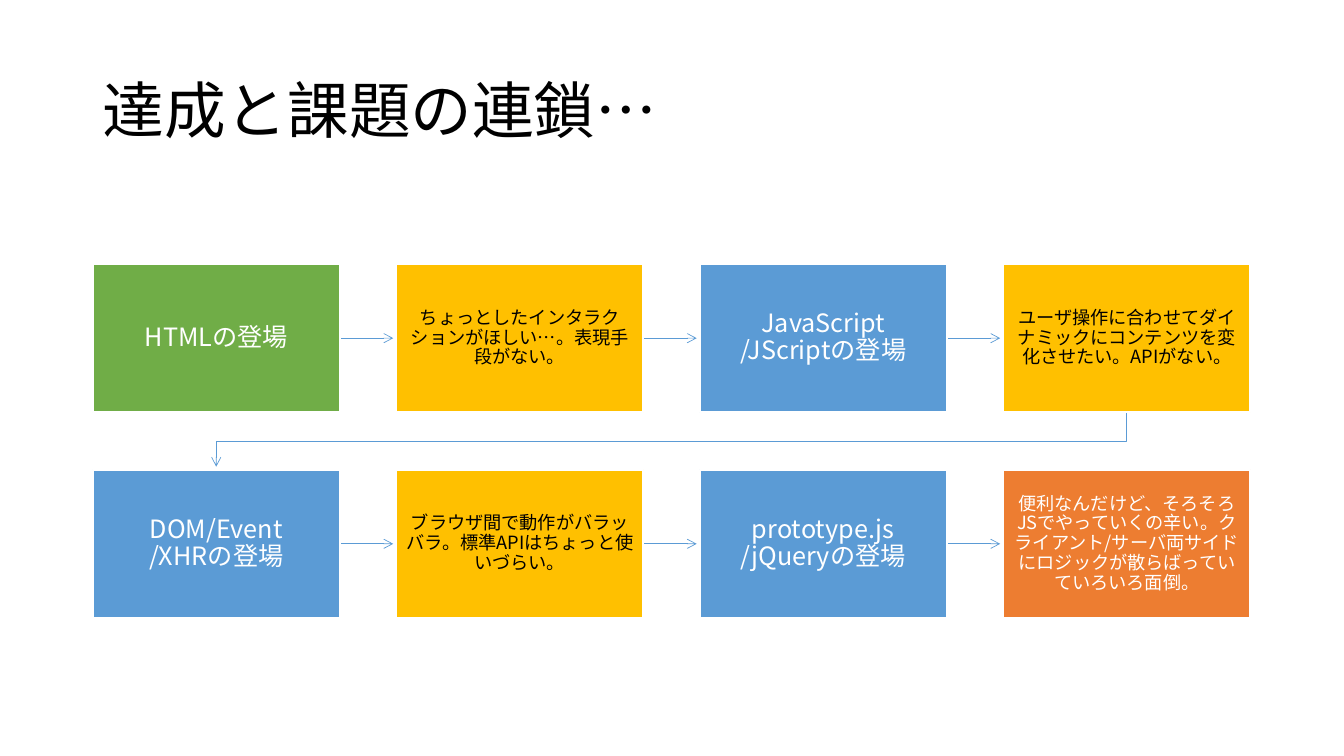
from dataclasses import dataclass

from lxml import etree
from pptx import Presentation
from pptx.dml.color import RGBColor
from pptx.enum import shapes, text
from pptx.oxml import ns
from pptx.util import Inches, Pt

FONT = "Noto Sans CJK JP"
BLACK = RGBColor(0x00, 0x00, 0x00)
WHITE = RGBColor(0xFF, 0xFF, 0xFF)
GREEN = RGBColor(0x70, 0xAD, 0x47)
YELLOW = RGBColor(0xFF, 0xC0, 0x00)
BLUE = RGBColor(0x5B, 0x9B, 0xD5)
ORANGE = RGBColor(0xED, 0x7D, 0x31)

COLUMNS = 4
LEFT, TOP = 0.92, 2.62
BOX_WIDTH, BOX_HEIGHT = 2.45, 1.47
COLUMN_STEP, ROW_STEP = 3.01, 2.04
ARROW_GAP = 0.03  # between an arrowhead and the next box


@dataclass(frozen=True)
class Style:
    fill: RGBColor
    color: RGBColor
    size: int
    inset: float


@dataclass(frozen=True)
class Step:
    wording: str
    style: Style


START = Style(GREEN, WHITE, 18, 0.14)
ACHIEVEMENT = Style(BLUE, WHITE, 18, 0.14)
PROBLEM = Style(YELLOW, BLACK, 13, 0.1)
OPEN_PROBLEM = Style(ORANGE, WHITE, 13, 0.1)

STEPS = [
    Step("HTMLの登場", START),
    Step("ちょっとしたインタラクションがほしい…。表現手段がない。", PROBLEM),
    Step("JavaScript\n/JScriptの登場", ACHIEVEMENT),
    Step("ユーザ操作に合わせてダイナミックにコンテンツを変化させたい。APIがない。", PROBLEM),
    Step("DOM/Event\n/XHRの登場", ACHIEVEMENT),
    Step("ブラウザ間で動作がバラッバラ。標準APIはちょっと使いづらい。", PROBLEM),
    Step("prototype.js\n/jQueryの登場", ACHIEVEMENT),
    Step("便利なんだけど、そろそろJSでやっていくの辛い。"
         "クライアント/サーバ両サイドにロジックが散らばっていていろいろ面倒。", OPEN_PROBLEM),
]


def box_corner(index: int) -> tuple[float, float]:
    row, column = divmod(index, COLUMNS)
    return LEFT + column * COLUMN_STEP, TOP + row * ROW_STEP


def write(frame, wording: str, size: int, color: RGBColor, alignment) -> None:
    """Put one formatted paragraph, vertically centred, into a text frame."""
    frame.word_wrap = True
    frame.vertical_anchor = text.MSO_ANCHOR.MIDDLE
    paragraph = frame.paragraphs[0]
    paragraph.text = wording
    paragraph.alignment = alignment
    paragraph.line_spacing = 0.9
    for run in paragraph.runs:
        run.font.size = Pt(size)
        run.font.name = FONT
        run.font.color.rgb = color
        east_asian = etree.SubElement(run.font._element, ns.qn("a:ea"))
        east_asian.set("typeface", FONT)


def style_arrow(arrow) -> None:
    arrow.line.color.rgb = BLUE
    arrow.line.width = Pt(0.5)
    head = etree.SubElement(arrow.line._get_or_add_ln(), ns.qn("a:tailEnd"))
    head.set("type", "arrow")


def add_straight_arrow(slide, index: int) -> None:
    """Point from a box to its right-hand neighbour."""
    left, top = box_corner(index)
    middle = Inches(top + BOX_HEIGHT / 2)
    arrow = slide.shapes.add_connector(
        shapes.MSO_CONNECTOR.STRAIGHT, Inches(left + BOX_WIDTH), middle,
        Inches(left + COLUMN_STEP - ARROW_GAP), middle)
    style_arrow(arrow)
    etree.SubElement(arrow._element.spPr, ns.qn("a:effectLst"))


def add_return_arrow(slide, index: int) -> None:
    """Lead from the last box of a row to the first box of the next."""
    left, top = box_corner(index)
    next_left, next_top = box_corner(index + 1)
    start_x = Inches(left + BOX_WIDTH / 2)
    end_x = Inches(next_left + BOX_WIDTH / 2)
    bottom = top + BOX_HEIGHT
    turn = Inches((bottom + next_top) / 2)
    builder = slide.shapes.build_freeform(start_x, Inches(bottom))
    builder.add_line_segments(
        [(start_x, turn), (end_x, turn), (end_x, Inches(next_top - ARROW_GAP))],
        close=False)
    arrow = builder.convert_to_shape()
    arrow.shadow.inherit = False
    arrow.fill.background()
    style_arrow(arrow)


def add_box(slide, index: int, step: Step) -> None:
    left, top = box_corner(index)
    box = slide.shapes.add_shape(
        shapes.MSO_SHAPE.RECTANGLE, Inches(left), Inches(top),
        Inches(BOX_WIDTH), Inches(BOX_HEIGHT))
    box.shadow.inherit = False
    box.fill.solid()
    box.fill.fore_color.rgb = step.style.fill
    box.line.color.rgb = WHITE
    box.line.width = Pt(1.5)
    frame = box.text_frame
    frame.margin_left = frame.margin_right = Inches(step.style.inset)
    frame.margin_top = frame.margin_bottom = Inches(step.style.inset)
    write(frame, step.wording, step.style.size, step.style.color,
          text.PP_ALIGN.CENTER)


def main() -> None:
    presentation = Presentation()
    presentation.slide_width = Inches(13.33)
    presentation.slide_height = Inches(7.5)
    slide = presentation.slides.add_slide(presentation.slide_layouts[6])

    title = slide.shapes.add_textbox(
        Inches(LEFT), Inches(0.4), Inches(11.5), Inches(1.45))
    write(title.text_frame, "達成と課題の連鎖…", 44, BLACK, text.PP_ALIGN.LEFT)

    for index, step in enumerate(STEPS):
        if (index + 1) % COLUMNS:
            add_straight_arrow(slide, index)
        elif index + 1 < len(STEPS):
            add_return_arrow(slide, index)
        add_box(slide, index, step)

    presentation.save("out.pptx")


if __name__ == "__main__":
    main()
